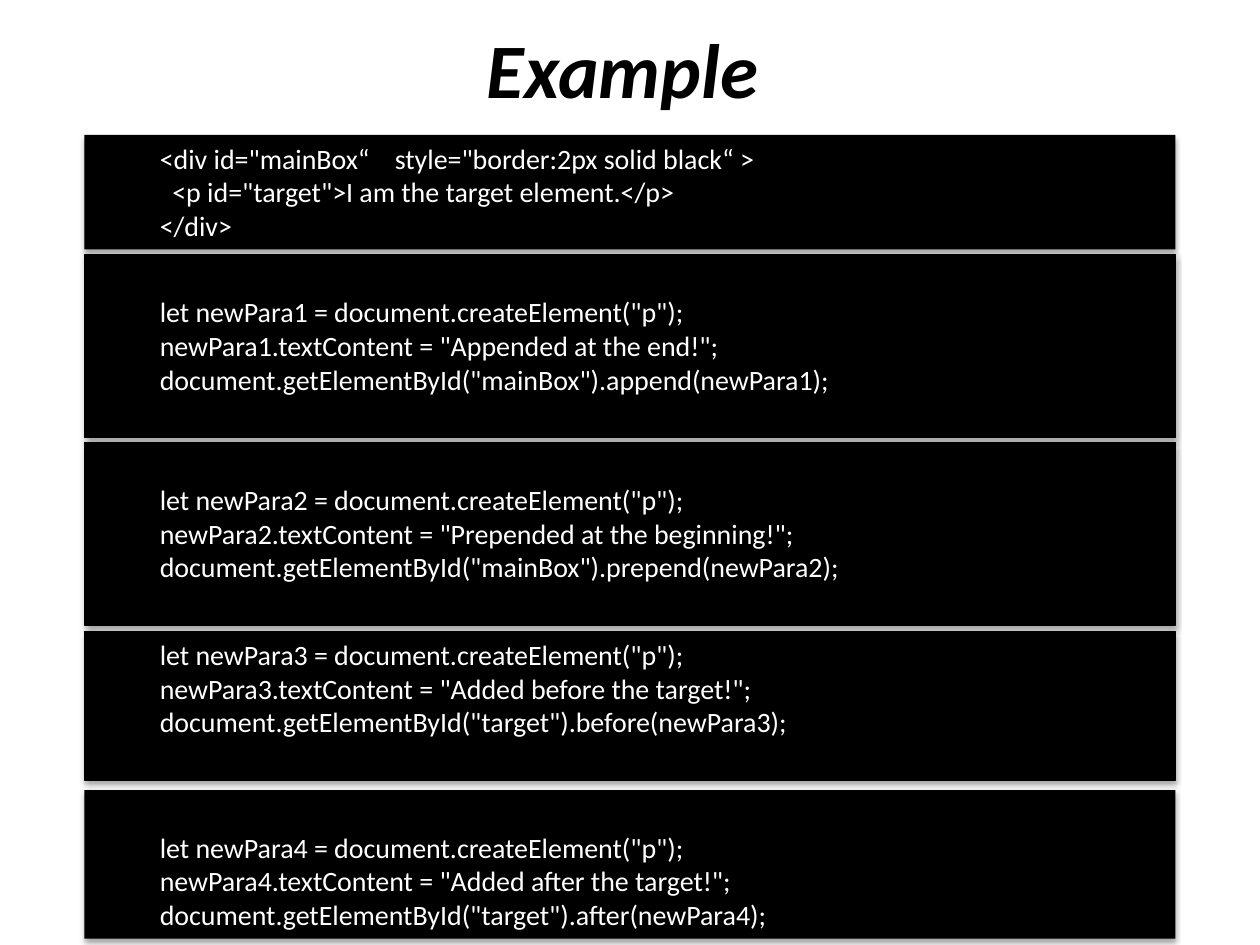
from dataclasses import dataclass

from pptx import Presentation
from pptx.dml.color import RGBColor
from pptx.enum.shapes import MSO_SHAPE
from pptx.enum.text import MSO_ANCHOR, PP_ALIGN
from pptx.slide import Slide
from pptx.text.text import Font
from pptx.util import Inches, Pt


@dataclass(frozen=True)
class Theme:
    font: str = "Calibri"
    dark: RGBColor = RGBColor(0x00, 0x00, 0x00)
    light: RGBColor = RGBColor(0xFF, 0xFF, 0xFF)
    title_size: int = 44
    code_size: int = 16
    outline: float = 0.75


@dataclass(frozen=True)
class CodeBlock:
    top: float
    height: float
    lines: tuple[str, ...]
    first_line_gap: bool = True
    outlined: bool = True


THEME = Theme()
BLOCK_LEFT, BLOCK_WIDTH = 0.67, 8.66
TEXT_INSET, LINE_HEIGHT = 0.05, 0.27


def insertion_block(number: int, message: str, target: str, method: str,
                    top: float, height: float, **options: bool) -> CodeBlock:
    """Describe the code that creates one paragraph and inserts it."""
    name = f"newPara{number}"
    lines = (
        f'let {name} = document.createElement("p");',
        f'{name}.textContent = "{message}";',
        f'document.getElementById("{target}").{method}({name});',
    )
    return CodeBlock(top, height, lines, **options)


BLOCKS = (
    CodeBlock(1.07, 0.91, (
        '<div id="mainBox“    style="border:2px solid black“ >',
        '  <p id="target">I am the target element.</p>',
        '</div>',
    ), first_line_gap=False, outlined=False),
    insertion_block(1, "Appended at the end!", "mainBox", "append", 2.02, 1.45),
    insertion_block(2, "Prepended at the beginning!", "mainBox", "prepend", 3.51, 1.45),
    insertion_block(3, "Added before the target!", "target", "before", 5.01, 1.18,
                    first_line_gap=False),
    insertion_block(4, "Added after the target!", "target", "after", 6.27, 1.18,
                    outlined=False),
)


def style_font(font: Font, size: int, color: RGBColor) -> None:
    font.name = THEME.font
    font.size = Pt(size)
    font.color.rgb = color


def add_title(slide: Slide, text: str) -> None:
    title = slide.shapes.title
    title.left, title.top = Inches(0.51), Inches(0)
    title.width, title.height = Inches(9), Inches(1.07)
    title.text_frame.text = text
    title.text_frame.vertical_anchor = MSO_ANCHOR.MIDDLE
    paragraph = title.text_frame.paragraphs[0]
    paragraph.alignment = PP_ALIGN.CENTER
    font = paragraph.runs[0].font
    style_font(font, THEME.title_size, THEME.dark)
    font.bold = font.italic = True


def add_code_block(slide: Slide, block: CodeBlock) -> None:
    """Draw a black panel of code; it keeps the theme's soft drop shadow."""
    shape = slide.shapes.add_shape(
        MSO_SHAPE.RECTANGLE, Inches(BLOCK_LEFT), Inches(block.top),
        Inches(BLOCK_WIDTH), Inches(block.height))
    shape.fill.solid()
    shape.fill.fore_color.rgb = THEME.dark
    if block.outlined:
        shape.line.color.rgb = THEME.dark
        shape.line.width = Pt(THEME.outline)
    else:
        shape.line.fill.background()

    frame = shape.text_frame
    frame.word_wrap = True
    frame.vertical_anchor = MSO_ANCHOR.TOP
    frame.margin_top = Inches(TEXT_INSET + LINE_HEIGHT * block.first_line_gap)
    frame.text = "\n".join(block.lines)
    for paragraph in frame.paragraphs:
        paragraph.level = 1
        paragraph.alignment = PP_ALIGN.LEFT
        style_font(paragraph.runs[0].font, THEME.code_size, THEME.light)


def main() -> None:
    presentation = Presentation()
    presentation.slide_width, presentation.slide_height = Inches(10), Inches(7.5)
    title_only = presentation.slide_layouts[5]
    slide = presentation.slides.add_slide(title_only)
    add_title(slide, "Example ")
    for block in BLOCKS:
        add_code_block(slide, block)
    presentation.save("out.pptx")


if __name__ == "__main__":
    main()
